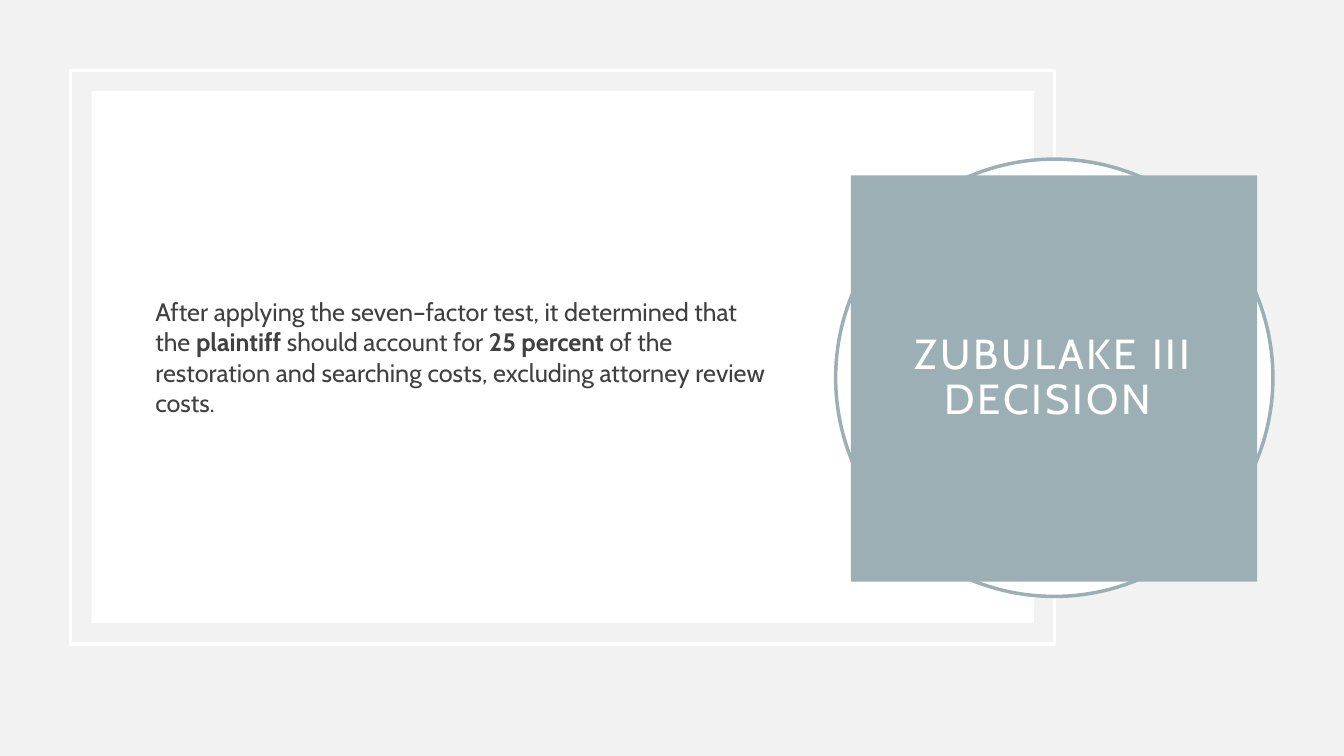
import dataclasses

import pptx
import pptx.dml.color
import pptx.enum.shapes
import pptx.enum.text
import pptx.oxml.ns
import pptx.util
from lxml import etree

Cm = pptx.util.Cm
Pt = pptx.util.Pt
Kind = pptx.enum.shapes.MSO_SHAPE
Align = pptx.enum.text.PP_ALIGN

FONT = "Cabin"
COLORS = {"back": "F2F2F2", "white": "FFFFFF", "teal": "9BAFB5", "text": "404040"}


@dataclasses.dataclass
class Box:
    """A place on the slide, in centimetres."""
    left: float
    top: float
    width: float
    height: float


@dataclasses.dataclass
class Panel:
    """A decorative shape; an empty colour means no fill or no line."""
    kind: Kind
    box: Box
    fill: str = ""
    line: str = ""


@dataclasses.dataclass
class Style:
    """The look of a text run."""
    size: float
    color: str
    gap: float = 0


FRAME = Panel(Kind.RECTANGLE, Box(1.78, 1.78, 24.79, 14.45), line="white")
CARD = Panel(Kind.RECTANGLE, Box(2.31, 2.29, 23.75, 13.41), fill="white")
RING = Panel(Kind.OVAL, Box(21.06, 4.01, 11.02, 11.02), fill="white", line="teal")
BODY = Box(3.66, 3.56, 15.88, 10.87)
TITLE = Box(21.44, 4.42, 10.24, 10.24)

WORDS = [
    ("After applying the seven–factor test, it determined that the ", False),
    ("plaintiff", True),
    (" should account for ", False),
    ("25 percent ", True),
    ("of the restoration and searching costs, excluding attorney review costs.", False),
]


def tint(name: str) -> pptx.dml.color.RGBColor:
    """Look up a colour by name."""
    return pptx.dml.color.RGBColor.from_string(COLORS[name])


def paint(fill, name: str) -> None:
    """Give a fill one solid colour."""
    fill.solid()
    fill.fore_color.rgb = tint(name)


def draw(slide, panel: Panel) -> None:
    """Draw a decorative shape."""
    box = panel.box
    shape = slide.shapes.add_shape(
        panel.kind, Cm(box.left), Cm(box.top), Cm(box.width), Cm(box.height))
    shape.shadow.inherit = False
    if panel.fill:
        paint(shape.fill, panel.fill)
    else:
        shape.fill.background()
    if panel.line:
        paint(shape.line.fill, panel.line)
        shape.line.width = Pt(2.5)
    else:
        shape.line.fill.background()


def place(holder, box: Box, align: Align):
    """Move a placeholder to the front, set its frame, return its paragraph."""
    holder.left, holder.top = Cm(box.left), Cm(box.top)
    holder.width, holder.height = Cm(box.width), Cm(box.height)
    holder.element.getparent().append(holder.element)
    frame = holder.text_frame
    frame.word_wrap = True
    frame.auto_size = pptx.enum.text.MSO_AUTO_SIZE.NONE
    frame.vertical_anchor = pptx.enum.text.MSO_ANCHOR.MIDDLE
    para = frame.paragraphs[0]
    para.alignment = align
    return para


def write(para, text: str, style: Style, bold: bool = False) -> None:
    """Add one run to a paragraph."""
    run = para.add_run()
    run.text = text
    font = run.font
    font.name, font.size, font.bold = FONT, Pt(style.size), bold
    font.color.rgb = tint(style.color)
    if style.gap:
        run._r.get_or_add_rPr().set("spc", str(int(style.gap * 100)))


def plain(para) -> None:
    """Remove the bullet and indent of a paragraph."""
    props = para._p.get_or_add_pPr()
    props.set("marL", "0")
    props.set("indent", "0")
    etree.SubElement(props, pptx.oxml.ns.qn("a:buNone"))


def main() -> None:
    """Build the slide and save it."""
    deck = pptx.Presentation()
    deck.slide_width, deck.slide_height = Cm(33.87), Cm(19.05)
    slide = deck.slides.add_slide(deck.slide_layouts[1])
    paint(slide.background.fill, "back")

    draw(slide, FRAME)
    draw(slide, CARD)

    para = place(slide.placeholders[1], BODY, Align.LEFT)
    para.space_before = Pt(10)
    plain(para)
    for text, bold in WORDS:
        write(para, text, Style(18, "text"), bold)

    draw(slide, RING)

    title = slide.shapes.title
    para = place(title, TITLE, Align.CENTER)
    paint(title.fill, "teal")
    frame = title.text_frame
    frame.margin_left = frame.margin_right = Cm(0.51)
    frame.margin_top = frame.margin_bottom = Cm(0.51)
    para.line_spacing = 0.9
    write(para, "ZUBULAKE III DECISION ", Style(30, "white", 2))

    deck.save("out.pptx")


main()
